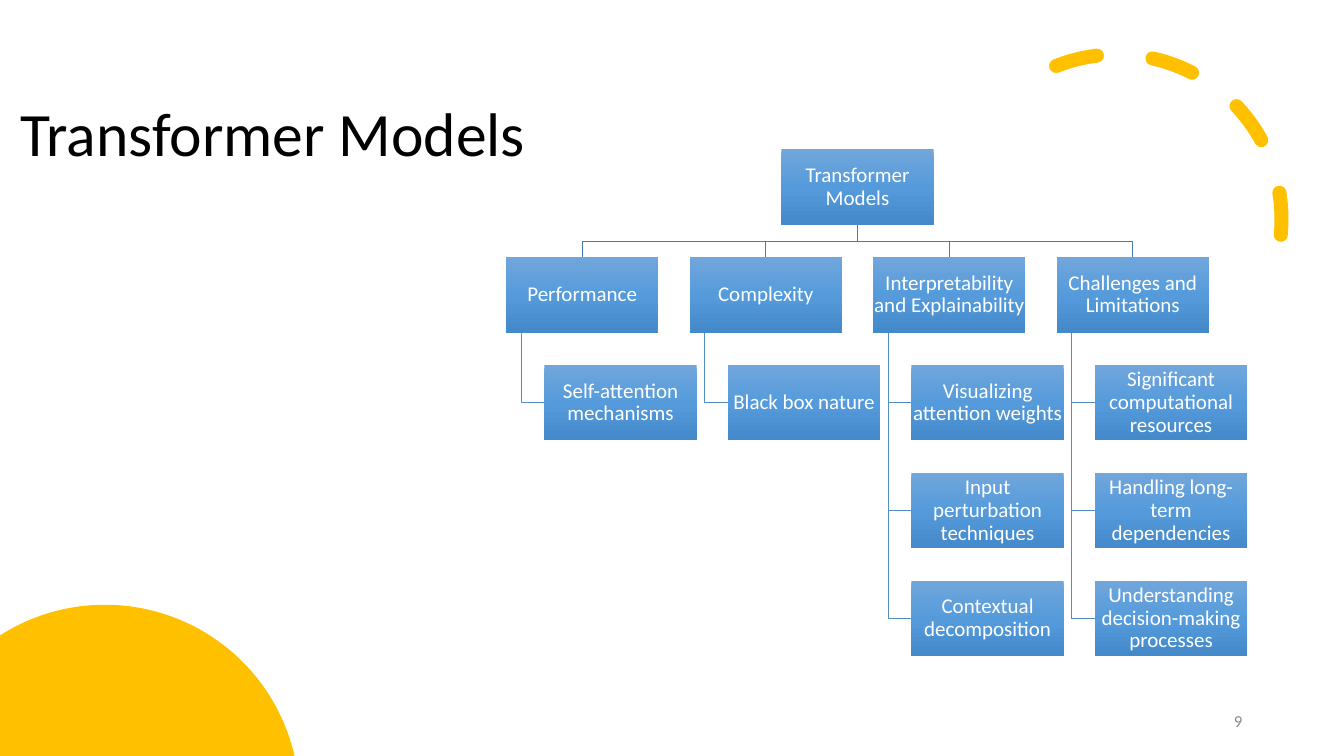
from copy import deepcopy
from math import acos, asin, cos, pi, sin

from pptx import Presentation
from pptx.dml.color import RGBColor
from pptx.enum.dml import MSO_LINE
from pptx.enum.shapes import MSO_SHAPE
from pptx.enum.text import MSO_ANCHOR, MSO_AUTO_SIZE, PP_ALIGN
from pptx.oxml.ns import qn
from pptx.util import Inches, Pt

ARC, RECTANGLE = MSO_SHAPE.ARC, MSO_SHAPE.RECTANGLE
DASH = MSO_LINE.DASH
MIDDLE = MSO_ANCHOR.MIDDLE
NO_AUTOFIT = MSO_AUTO_SIZE.NONE
LEFT, CENTER, RIGHT = PP_ALIGN.LEFT, PP_ALIGN.CENTER, PP_ALIGN.RIGHT

BLACK = RGBColor(0x00, 0x00, 0x00)
WHITE = RGBColor(0xFF, 0xFF, 0xFF)
GRAY = RGBColor(0x8C, 0x8C, 0x8C)
GOLD = RGBColor(0xFF, 0xC0, 0x00)
TRUNK_BLUE = RGBColor(0x49, 0x7C, 0xAB)
BRANCH_BLUE = RGBColor(0x53, 0x8D, 0xC1)
BOX_GRADIENT = (
    (0, RGBColor(0x71, 0xA6, 0xDB)),
    (0.5, RGBColor(0x55, 0x9B, 0xDB)),
    (1, RGBColor(0x44, 0x8A, 0xCA)),
)

BOX_WIDTH, BOX_HEIGHT = 1.51, 0.75
COLUMN_LEFT, COLUMN_PITCH = 5.02, 1.82
ROOT_LEFT, ROOT_TOP, ROW_PITCH = 7.75, 1.48, 1.07
LEAF_INDENT, STEM_INDENT = 0.38, 0.15

TOPICS = (
    ("Performance", ("Self-attention mechanisms",)),
    ("Complexity", ("Black box nature",)),
    ("Interpretability and Explainability", (
        "Visualizing attention weights",
        "Input perturbation techniques",
        "Contextual decomposition",
    )),
    ("Challenges and Limitations", (
        "Significant computational resources",
        "Handling long-term dependencies",
        "Understanding decision-making processes",
    )),
)


def apply(target, values):
    for name, value in values.items():
        setattr(target, name, value)


class SlideBuilder:
    font_name = "Calibri"

    def __init__(self, slide):
        self.slide = slide
        self.shapes = slide.shapes

    def set_text(self, holder, text, size, color, align, spacing=1.0, inset=None):
        frame = holder.text_frame
        apply(frame, {"word_wrap": True, "auto_size": NO_AUTOFIT,
                      "vertical_anchor": MIDDLE})
        if inset is not None:
            sides = ("left", "top", "right", "bottom")
            apply(frame, {f"margin_{side}": Inches(inset) for side in sides})
        paragraph = frame.paragraphs[0]
        paragraph.text = text
        apply(paragraph, {"alignment": align, "line_spacing": spacing})
        apply(paragraph.font, {"name": self.font_name, "size": Pt(size)})
        paragraph.font.color.rgb = color

    def title(self, text, left, top, width, height):
        title = self.shapes.title
        apply(title, {"left": Inches(left), "top": Inches(top),
                      "width": Inches(width), "height": Inches(height)})
        self.set_text(title, text, 44, BLACK, LEFT, spacing=0.9)

    def page_number(self, text, left, top, width, height):
        number = self.shapes.add_textbox(
            Inches(left), Inches(top), Inches(width), Inches(height))
        self.set_text(number, text, 12, GRAY, RIGHT)

    def dashed_arc(self, left, top, size):
        arc = self.shapes.add_shape(
            ARC, Inches(left), Inches(top), Inches(size), Inches(size))
        arc.shadow.inherit = False
        arc.adjustments[0] = 144.42
        arc.adjustments[1] = 0
        arc.rotation = 66.1
        arc.element.spPr.find(qn("a:xfrm")).set("flipH", "1")
        arc.fill.background()
        arc.line.color.rgb = GOLD
        apply(arc.line, {"width": Pt(10), "dash_style": DASH})
        arc.element.spPr.find(qn("a:ln")).set("cap", "rnd")

    def outline(self, points, close):
        corners = [(Inches(x), Inches(y)) for x, y in points]
        builder = self.shapes.build_freeform(*corners[0])
        builder.add_line_segments(corners[1:], close=close)
        outline = builder.convert_to_shape()
        outline.shadow.inherit = False
        return outline

    def corner_circle(self, center_x, center_y, radius, bottom):
        start = pi + acos(center_x / radius)
        end = 2 * pi - asin((center_y - bottom) / radius)
        steps = 80
        angles = [start + (end - start) * i / steps for i in range(steps + 1)]
        rim = [(center_x + radius * cos(a), center_y + radius * sin(a))
               for a in angles]
        circle = self.outline([(0, bottom), *rim], close=True)
        circle.fill.solid()
        circle.fill.fore_color.rgb = GOLD
        circle.line.fill.background()

    def link(self, points, color):
        link = self.outline(points, close=False)
        link.fill.background()
        link.line.color.rgb = color
        link.line.width = Pt(0.5)

    def box(self, text, left, top):
        box = self.shapes.add_shape(
            RECTANGLE, Inches(left), Inches(top),
            Inches(BOX_WIDTH), Inches(BOX_HEIGHT))
        box.shadow.inherit = False
        box.line.fill.background()
        box.fill.gradient()
        box.fill.gradient_angle = 270
        stop_list = box.element.spPr.find(qn("a:gradFill")).find(qn("a:gsLst"))
        stop_list.insert(1, deepcopy(stop_list[0]))
        for stop, (position, color) in zip(box.fill.gradient_stops, BOX_GRADIENT):
            stop.position = position
            stop.color.rgb = color
        self.set_text(box, text, 15, WHITE, CENTER, spacing=0.9, inset=0.01)

    def hierarchy(self, root, topics):
        root_x = ROOT_LEFT + BOX_WIDTH / 2
        root_bottom = ROOT_TOP + BOX_HEIGHT
        topic_top = ROOT_TOP + ROW_PITCH
        topic_bottom = topic_top + BOX_HEIGHT
        trunk_y = (root_bottom + topic_top) / 2
        boxes = [(root, ROOT_LEFT, ROOT_TOP)]
        for column, (topic, leaves) in enumerate(topics):
            left = COLUMN_LEFT + column * COLUMN_PITCH
            topic_x = left + BOX_WIDTH / 2
            stem_x = left + STEM_INDENT
            leaf_left = left + LEAF_INDENT
            boxes.append((topic, left, topic_top))
            self.link([(root_x, root_bottom), (root_x, trunk_y),
                       (topic_x, trunk_y), (topic_x, topic_top)], TRUNK_BLUE)
            for row, leaf in enumerate(leaves, start=1):
                leaf_top = topic_top + row * ROW_PITCH
                leaf_y = leaf_top + BOX_HEIGHT / 2
                boxes.append((leaf, leaf_left, leaf_top))
                self.link([(stem_x, topic_bottom), (stem_x, leaf_y),
                           (leaf_left, leaf_y)], BRANCH_BLUE)
        for box in boxes:
            self.box(*box)


def main():
    deck = Presentation()
    apply(deck, {"slide_width": Inches(13.33), "slide_height": Inches(7.5)})
    page = SlideBuilder(deck.slides.add_slide(deck.slide_layouts[5]))
    page.dashed_arc(9.44, 0.54, 3.27)
    page.title("Transformer Models", 0.1, 0.63, 5.97, 1.45)
    page.corner_circle(1.04, 7.93, 1.93, 7.5)
    page.hierarchy("Transformer Models", TOPICS)
    page.page_number("9", 9.42, 6.95, 3, 0.4)
    deck.save("out.pptx")


if __name__ == "__main__":
    main()
